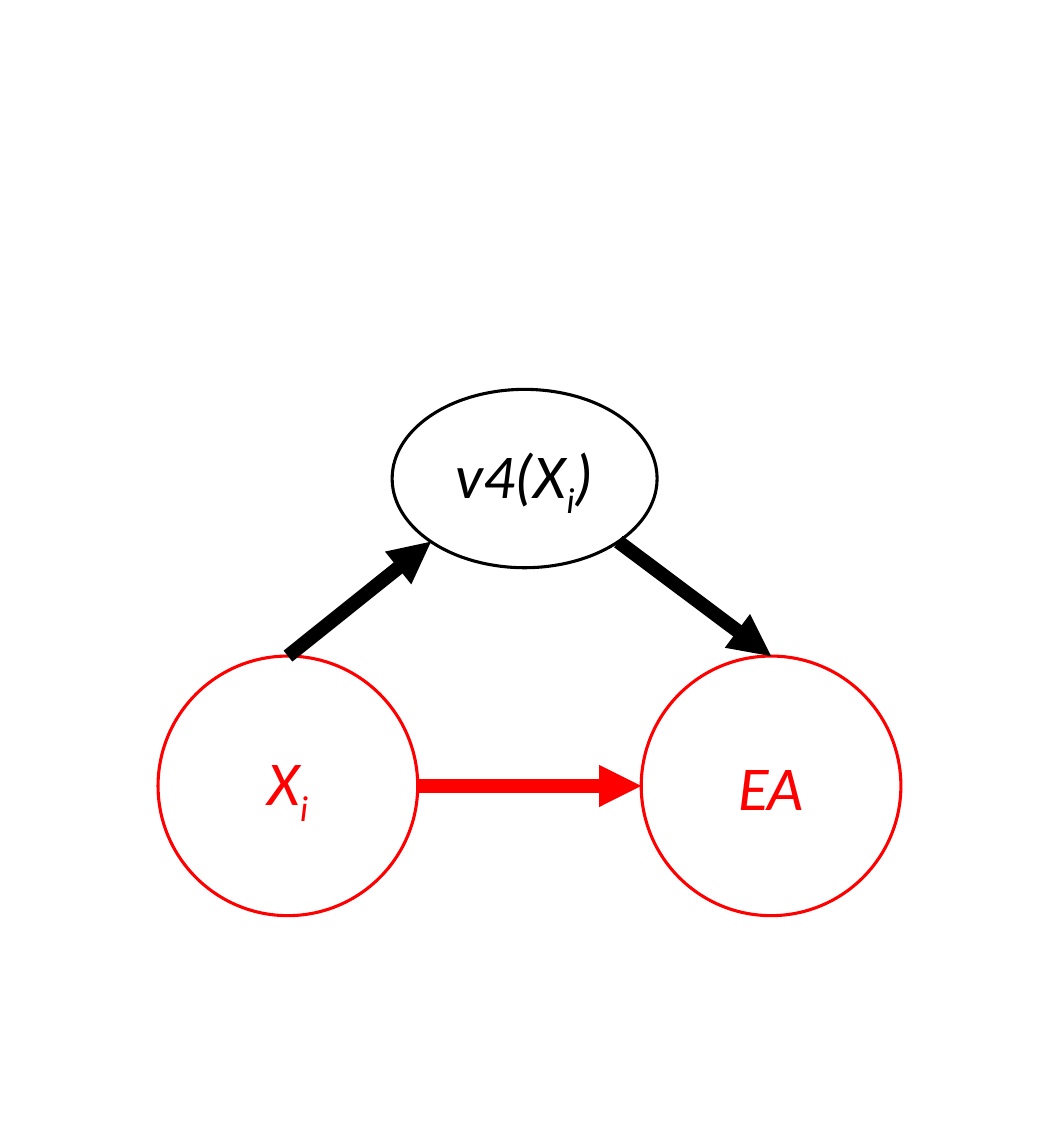
import math
import pptx
import pptx.util
import pptx.dml.color
import pptx.enum.shapes
import pptx.enum.text
import pptx.oxml.ns
import lxml.etree

COLUMNS, ROWS = 1200, 1300
UNIT = pptx.util.Cm(0.01)
THEME = {
    "red": pptx.dml.color.RGBColor(0xFF, 0x00, 0x00),
    "black": pptx.dml.color.RGBColor(0x00, 0x00, 0x00),
    "font": {"name": "Calibri", "size": pptx.util.Pt(20), "italic": True},
    "outline": pptx.util.Pt(1),
    "arrow": pptx.util.Pt(4.5),
}
SUBSCRIPT = "-25000"
INSET = 10 * UNIT

# Centre and radii are in grid units; each label part is (text, is_subscript).
NODES = {
    "cause": {"centre": (326, 890), "radii": (147, 147), "color": "red", "side_inset": INSET,
              "label": [("X", False), ("i", True)]},
    "effect": {"centre": (873, 890), "radii": (147, 147), "color": "red", "side_inset": INSET,
               "label": [("EA", False)]},
    "mediator": {"centre": (594, 542), "radii": (150, 101), "color": "black", "side_inset": 0,
                 "label": [("v4(X", False), ("i", True), (")", False)]},
}
# Start node and angle, end node and angle, colour; angles run clockwise from the right.
EFFECTS = [
    ("cause", 0, "effect", 180, "red"),
    ("cause", 270, "mediator", 135, "black"),
    ("mediator", 45, "effect", 270, "black"),
]


def rim_point(node, degrees):
    """Return the point on a node's outline at the given angle."""
    turns = (math.cos(math.radians(degrees)), math.sin(math.radians(degrees)))
    return [round((centre + radius * turn) * UNIT)
            for centre, radius, turn in zip(node["centre"], node["radii"], turns)]


deck = pptx.Presentation()
deck.slide_width = COLUMNS * UNIT
deck.slide_height = ROWS * UNIT
slide = deck.slides.add_slide(deck.slide_layouts[6])

for node in NODES.values():
    (column, row), (across, down) = node["centre"], node["radii"]
    bounds = (column - across, row - down, 2 * across, 2 * down)
    ellipse = slide.shapes.add_shape(
        pptx.enum.shapes.MSO_SHAPE.OVAL, *(length * UNIT for length in bounds))
    ellipse.shadow.inherit = False
    ellipse.fill.background()
    ellipse.line.color.rgb = THEME[node["color"]]
    ellipse.line.width = THEME["outline"]

    frame_format = {
        "margin_left": node["side_inset"], "margin_right": node["side_inset"],
        "margin_top": INSET, "margin_bottom": INSET,
        "vertical_anchor": pptx.enum.text.MSO_ANCHOR.MIDDLE, "word_wrap": True,
    }
    for attribute, value in frame_format.items():
        setattr(ellipse.text_frame, attribute, value)

    label = ellipse.text_frame.paragraphs[0]
    label.alignment = pptx.enum.text.PP_ALIGN.CENTER
    for text, is_subscript in node["label"]:
        part = label.add_run()
        part.text = text
        for attribute, value in THEME["font"].items():
            setattr(part.font, attribute, value)
        part.font.color.rgb = THEME[node["color"]]
        if is_subscript:
            part.font._element.set("baseline", SUBSCRIPT)

for cause, leaving, effect, arriving, color in EFFECTS:
    arrow = slide.shapes.add_connector(
        pptx.enum.shapes.MSO_CONNECTOR.STRAIGHT,
        *rim_point(NODES[cause], leaving), *rim_point(NODES[effect], arriving))
    arrow.line.color.rgb = THEME[color]
    arrow.line.width = THEME["arrow"]
    lxml.etree.SubElement(
        arrow.line._get_or_add_ln(), pptx.oxml.ns.qn("a:tailEnd"), type="triangle")
    lxml.etree.SubElement(arrow._element.spPr, pptx.oxml.ns.qn("a:effectLst"))

deck.save("out.pptx")
